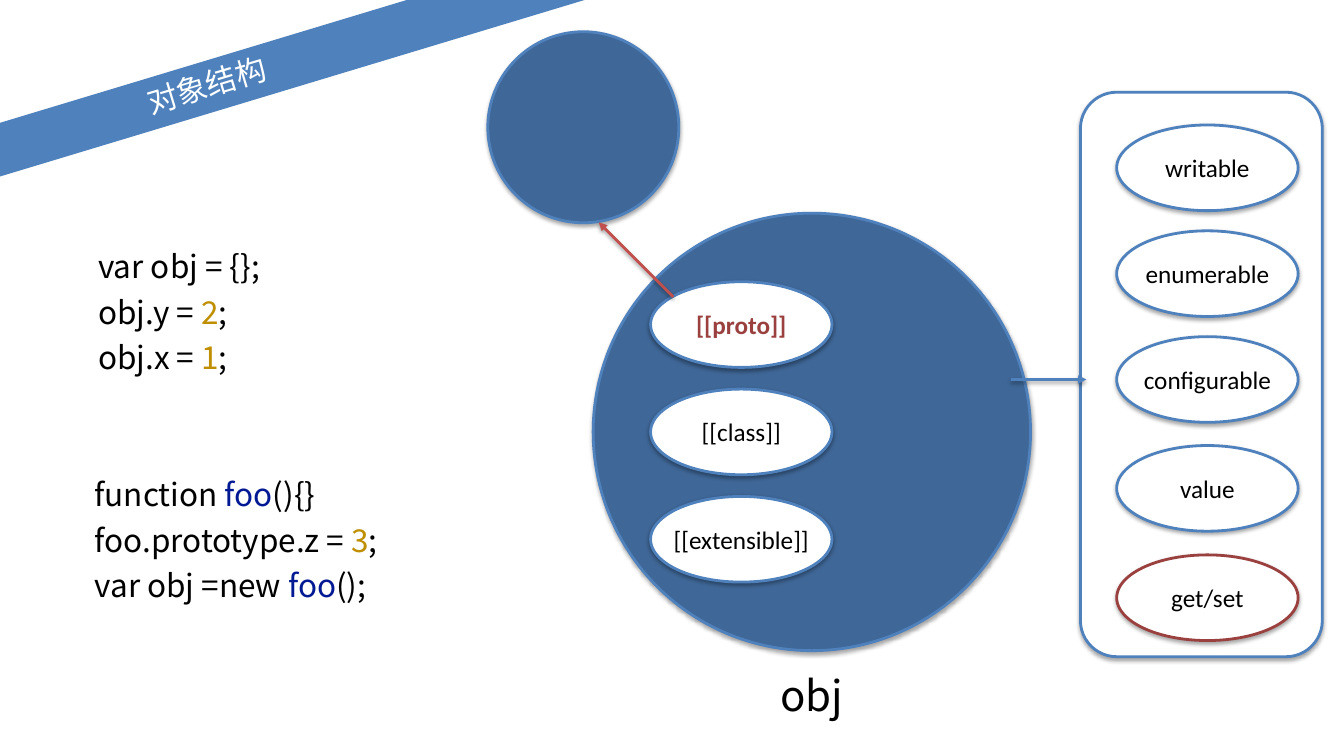
import pptx
import pptx.util
import pptx.dml.color
import pptx.enum.shapes
import pptx.enum.text
import pptx.oxml
import pptx.oxml.ns

Inches, Pt = pptx.util.Inches, pptx.util.Pt
Kind = pptx.enum.shapes.MSO_SHAPE
Align = pptx.enum.text.PP_ALIGN
Anchor = pptx.enum.text.MSO_ANCHOR
HEX = {"blue": "4F81BD", "deep": "3F6797", "white": "FFFFFF", "black": "000000",
       "red": "C0504D", "wine": "9A403E", "navy": "021994", "gold": "BF8F00"}
SANS, HAN = "Calibri", "Noto Sans CJK SC"
NS = pptx.oxml.ns.nsdecls("a")


def color(name):
    return pptx.dml.color.RGBColor.from_string(HEX[name])


class Deck:
    """Holds the style and the current slide, and draws each kind of element."""

    def __init__(self, wide, high):
        self.file = pptx.Presentation()
        self.file.slide_width, self.file.slide_height = Inches(wide), Inches(high)
        self.slide = self.file.slides.add_slide(self.file.slide_layouts[5])
        self.items = self.slide.shapes

    def words(self, shape, lines, size, font=SANS, align=Align.CENTER,
              space=1.0, inset=0, wrap=False, anchor=Anchor.MIDDLE, bold=False):
        frame = shape.text_frame
        frame.word_wrap, frame.vertical_anchor = wrap, anchor
        frame.margin_left = frame.margin_right = Inches(inset)
        frame.margin_top = frame.margin_bottom = Inches(inset)
        for i, line in enumerate(lines):
            para = frame.add_paragraph() if i else frame.paragraphs[0]
            para.alignment, para.line_spacing = align, space
            for text, tint in line:
                run = para.add_run()
                run.text = text
                run.font.size, run.font.name, run.font.bold = Pt(size), font, bold
                run.font.color.rgb = color(tint)
                run._r.get_or_add_rPr().append(
                    pptx.oxml.parse_xml(f'<a:ea {NS} typeface="{font}"/>'))

    def shade(self, props, alpha):
        props.append(pptx.oxml.parse_xml(
            f'<a:effectLst {NS}><a:outerShdw blurRad="{Pt(6)}" dist="{Pt(3)}" dir="5400000" '
            f'rotWithShape="0"><a:srgbClr val="000000"><a:alpha val="{alpha}000"/>'
            '</a:srgbClr></a:outerShdw></a:effectLst>'))

    def title(self, text, box, turn):
        shape = self.items.title
        shape.left, shape.top, shape.width, shape.height = map(Inches, box)
        shape.rotation = turn
        shape.fill.solid()
        shape.fill.fore_color.rgb = color("blue")
        self.words(shape, [[(text, "white")]], 43.8, HAN, space=0.9)

    def shape(self, kind, box, fill="white", edge="blue"):
        shape = self.items.add_shape(kind, *map(Inches, box))
        shape.fill.solid()
        shape.fill.fore_color.rgb = color(fill)
        shape.line.color.rgb = color(edge)
        shape.line.width = Pt(4)
        self.shade(shape._element.spPr, 35)
        return shape

    def label(self, text, left, top, edge="blue", tint="black", bold=False):
        shape = self.shape(Kind.OVAL, (left, top, 3.6, 1.7), edge=edge)
        self.words(shape, [[(text, tint)]], 36, bold=bold)

    def text(self, lines, box, size, **style):
        shape = self.items.add_textbox(*map(Inches, box))
        self.words(shape, lines, size, HAN, inset=0.1, anchor=Anchor.TOP, **style)

    def code(self, lines, box):
        self.text(lines, box, 45, align=Align.LEFT, space=1.2, wrap=True)

    def arrow(self, start, end, tint):
        line = self.items.add_connector(
            pptx.enum.shapes.MSO_CONNECTOR.STRAIGHT, *map(Inches, start + end))
        line.line.color.rgb = color(tint)
        line.line.width = Pt(4)
        props = line._element.spPr
        props.get_or_add_ln().append(
            pptx.oxml.parse_xml(f'<a:tailEnd {NS} type="triangle"/>'))
        self.shade(props, 38)


def main():
    deck = Deck(26.67, 15)
    deck.title("对象结构", (-4.99, 1.22, 18.19, 1.02), 343.2)

    deck.shape(Kind.OVAL, (11.77, 4.23, 8.68, 8.68), "deep")
    deck.text([[("obj", "black")]], (15.36, 13.3, 1.5, 1.3), 60, space=0.9)
    deck.label("[[proto]]", 12.91, 5.59, tint="wine", bold=True)
    for i, name in enumerate(["[[class]]", "[[extensible]]"], 1):
        deck.label(name, 12.91, 5.59 + 2.13 * i)
    deck.shape(Kind.OVAL, (9.68, 0.63, 3.79, 3.79), "deep")
    deck.arrow((13.36, 5.89), (11.88, 4.41), "red")

    deck.code([
        [("function ", "black"), ("foo", "navy"), ("(){}", "black")],
        [("foo.prototype.z = ", "black"), ("3", "gold"), (";", "black")],
        [("var obj =new ", "black"), ("foo", "navy"), ("();", "black")],
    ], (1.78, 9.18, 6.34, 3.03))
    deck.code([
        [("var obj = {};", "black")],
        [("obj.y = ", "black"), ("2", "gold"), (";", "black")],
        [("obj.x = ", "black"), ("1", "gold"), (";", "black")],
    ], (1.85, 4.66, 3.85, 3.03))

    panel = deck.shape(Kind.ROUNDED_RECTANGLE, (21.44, 1.83, 4.8, 11.2))
    panel.adjustments[0] = 0.15
    for name, top, edge in [("writable", 2.48, "blue"), ("enumerable", 4.58, "blue"),
                            ("configurable", 6.68, "blue"), ("value", 8.84, "blue"),
                            ("get/set", 11.01, "wine")]:
        deck.label(name, 22.16, top, edge)
    deck.arrow((20.06, 7.53), (21.56, 7.53), "blue")

    deck.file.save("out.pptx")


if __name__ == "__main__":
    main()
